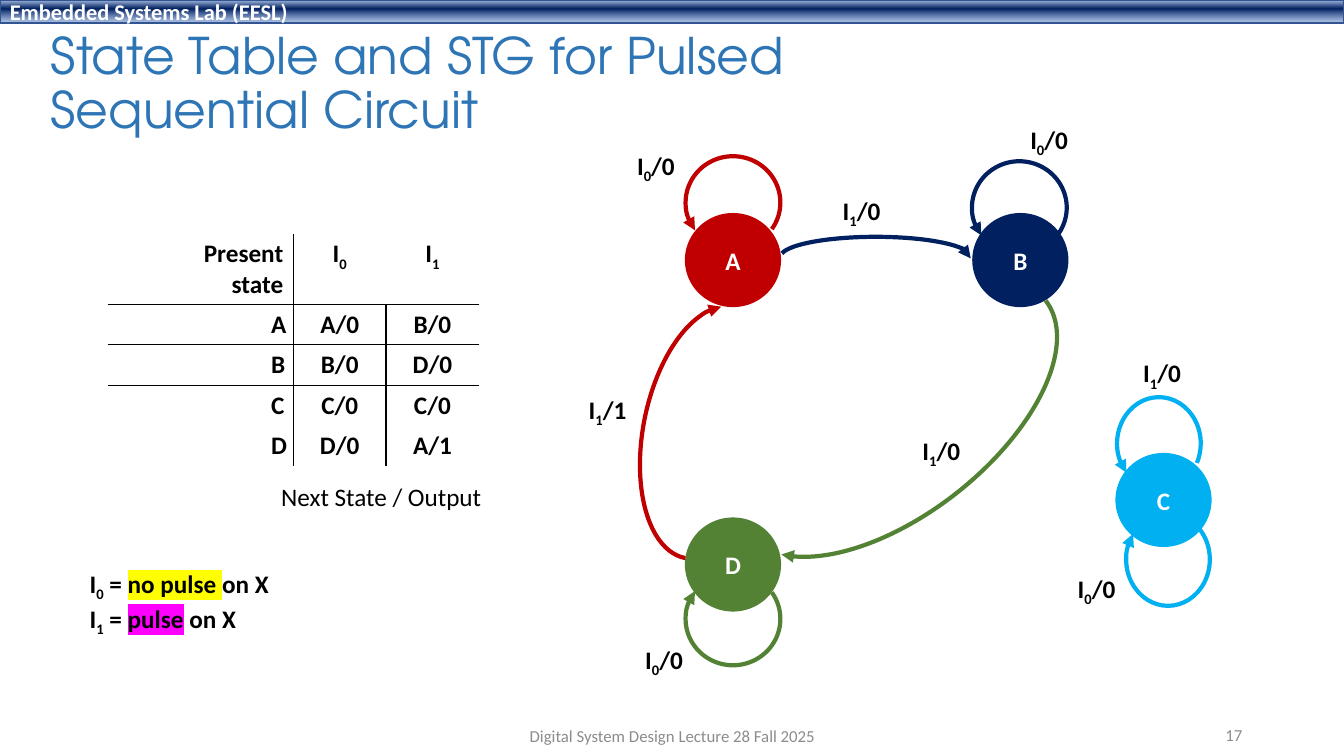
"""Build the slide with the state table and state graph of a pulsed sequential circuit."""
from lxml.etree import SubElement
from pptx import Presentation
from pptx.dml.color import RGBColor
from pptx.enum.shapes import MSO_SHAPE
from pptx.enum.text import MSO_ANCHOR, MSO_AUTO_SIZE, PP_ALIGN
from pptx.oxml import parse_xml
from pptx.oxml.ns import nsdecls, qn
from pptx.util import Inches, Pt

BODY_FONT = "Calibri"
TITLE_FONT = "TeX Gyre Adventor"
BLACK = RGBColor(0x00, 0x00, 0x00)
WHITE = RGBColor(0xFF, 0xFF, 0xFF)
GRAY = RGBColor(0x8C, 0x8C, 0x8C)
TITLE_BLUE = RGBColor(0x2E, 0x75, 0xB6)
BANNER_LINE = RGBColor(0x32, 0x54, 0x91)
RED = RGBColor(0xC0, 0x00, 0x00)
NAVY = RGBColor(0x00, 0x20, 0x60)
GREEN = RGBColor(0x54, 0x82, 0x35)
SKY = RGBColor(0x00, 0xB0, 0xF0)
YELLOW = RGBColor(0xFF, 0xFF, 0x00)
MAGENTA = RGBColor(0xFF, 0x00, 0xFF)

STATE_SIZE = (0.94, 0.92)
LABEL_SIZE = (0.59, 0.4)
LOOP = (86.305, 20.584)
BANNER_STOPS = [(2, "ABC0E4", 100), (38, "002060", 100), (93, "7E9ED6", 64)]

COLUMN_WIDTHS = [1.02, 0.82, 0.92, 0.92]
ROW_HEIGHTS = [0.7, 0.4, 0.4, 0.4, 0.4]
TRANSITIONS = [
    ("A", "A/0", "B/0"),
    ("B", "B/0", "D/0"),
    ("C", "C/0", "C/0"),
    ("D", "D/0", "A/1"),
]
LEGEND = [("0", " = ", "no pulse ", YELLOW, "on X"), ("1", " = ", "pulse", MAGENTA, " on X")]

ISOLATED_GRAPH = {
    "states": [("C", 11.07, 4.5, SKY)],
    "arcs": [
        ((11.17, 5.09, 0.83, 0.92), (86.305, 26.647), 0, True, "headEnd", SKY),
        ((11.08, 3.94, 0.83, 0.92), (82.864, 16.224), 0, False, "headEnd", SKY),
    ],
    "labels": [("1", "/0", 11.24, 3.5), ("0", "/0", 10.59, 5.64)],
}
MAIN_GRAPH = {
    "states": [("A", 6.8, 2.12, RED), ("B", 9.65, 2.12, NAVY), ("D", 6.8, 5.14, GREEN)],
    "arcs": [
        ((6.8, 1.55, *STATE_SIZE), LOOP, 0, False, "headEnd", RED),
        ((9.64, 1.6, *STATE_SIZE), LOOP, 0, False, "headEnd", NAVY),
        ((6.8, 5.68, *STATE_SIZE), LOOP, 0, True, "headEnd", GREEN),
        ((7.74, 2.35, 1.89, 0.4), (109.315, 0.513), 0, False, "tailEnd", NAVY),
        ((5.77, 3.63, 2.54, 1.32), (107.921, 212.453), 281.1, False, "tailEnd", RED),
        ((7.01, 3.18, 3.76, 1.92), (108.024, 208.837), 141.9, False, "tailEnd", GREEN),
    ],
    "labels": [
        ("1", "/0", 9.05, 4.27), ("1", "/0", 8.26, 1.89), ("1", "/1", 5.74, 3.86),
        ("0", "/0", 6.22, 1.44), ("0", "/0", 6.3, 6.34), ("0", "/0", 10.12, 1.18),
    ],
}


def inches(values):
    return [Inches(value) for value in values]


def add_run(paragraph, text, size=18, color=BLACK, bold=True, font=BODY_FONT,
            subscript=False, highlight=None):
    run = paragraph.add_run()
    run.text = text
    run.font.size = Pt(size)
    run.font.bold = bold
    run.font.color.rgb = color
    properties = run.font._element
    if highlight is not None:
        mark = SubElement(properties, qn("a:highlight"))
        SubElement(mark, qn("a:srgbClr")).set("val", str(highlight))
    if subscript:
        properties.set("baseline", "-25000")
    run.font.name = font


def add_signal(paragraph, index):
    add_run(paragraph, "I")
    add_run(paragraph, index, subscript=True)


def indent(paragraph):
    properties = paragraph._p.get_or_add_pPr()
    properties.set("marL", str(Inches(0.5)))
    properties.set("indent", "0")


def add_text_box(shapes, box, wrap=True, anchor=MSO_ANCHOR.TOP, grow=False):
    frame = shapes.add_textbox(*inches(box)).text_frame
    frame.word_wrap = wrap
    frame.vertical_anchor = anchor
    if grow:
        frame.auto_size = MSO_AUTO_SIZE.SHAPE_TO_FIT_TEXT
    return frame


def add_line_of_text(shapes, box, text, alignment=PP_ALIGN.LEFT, **style):
    paragraph = add_text_box(shapes, box, anchor=MSO_ANCHOR.MIDDLE).paragraphs[0]
    paragraph.alignment = alignment
    add_run(paragraph, text, **style)
    return paragraph


def add_banner(shapes):
    banner = shapes.add_shape(MSO_SHAPE.RECTANGLE, *inches((0, 0, 13.33, 0.23)))
    banner.shadow.inherit = False
    banner.line.color.rgb = BANNER_LINE
    banner.line.width = Pt(1)
    stops = "".join(
        f'<a:gs pos="{position * 1000}"><a:srgbClr val="{color}">'
        f'<a:alpha val="{alpha * 1000}"/></a:srgbClr></a:gs>'
        for position, color, alpha in BANNER_STOPS)
    gradient = parse_xml(f'<a:gradFill {nsdecls("a")} rotWithShape="1"><a:gsLst>{stops}</a:gsLst>'
                         '<a:lin ang="5400000" scaled="0"/></a:gradFill>')
    banner._element.spPr.find(qn("a:prstGeom")).addnext(gradient)
    banner.text_frame.vertical_anchor = MSO_ANCHOR.MIDDLE
    paragraph = banner.text_frame.paragraphs[0]
    paragraph.alignment = PP_ALIGN.LEFT
    add_run(paragraph, "Embedded Systems Lab (EESL)", size=16, color=WHITE)


def finish_cell(cell, sides):
    properties = cell._tc.get_or_add_tcPr()
    for side in "LRTB":
        if side in sides:
            line = SubElement(properties, qn(f"a:ln{side}"), w="12700")
            fill = SubElement(line, qn("a:solidFill"))
            SubElement(fill, qn("a:srgbClr")).set("val", str(BLACK))
    cell.fill.background()


def add_state_table(shapes):
    frame = shapes.add_table(len(ROW_HEIGHTS), len(COLUMN_WIDTHS), *inches((1.07, 2.32, 3.68, 2.3)))
    table = frame.table
    table.first_row = table.horz_banding = False
    table._tbl.tblPr.find(qn("a:tableStyleId")).text = "{2D5ABB26-0587-4C30-8999-92F81FD0307C}"
    for column, width in zip(table.columns, COLUMN_WIDTHS):
        column.width = Inches(width)
    for row, height in zip(table.rows, ROW_HEIGHTS):
        row.height = Inches(height)
    table.cell(0, 0).merge(table.cell(0, 1))
    heading = table.cell(0, 0).text_frame
    for paragraph, text in zip((heading.paragraphs[0], heading.add_paragraph()), ("Present", "state")):
        paragraph.alignment = PP_ALIGN.RIGHT
        add_run(paragraph, text)
    for index in "01":
        paragraph = table.cell(0, 2 + int(index)).text_frame.paragraphs[0]
        paragraph.alignment = PP_ALIGN.CENTER
        add_signal(paragraph, index)
    for row, texts in enumerate(TRANSITIONS, 1):
        for column, text in enumerate(texts, 1):
            paragraph = table.cell(row, column).text_frame.paragraphs[0]
            if column == 1:
                indent(paragraph)
            else:
                paragraph.alignment = PP_ALIGN.CENTER
            add_run(paragraph, text)
    for row in range(len(ROW_HEIGHTS)):
        across = ("B", "TB", "T", "", "")[row]
        for column in range(len(COLUMN_WIDTHS)):
            down = ("R" if row == 0 else "", "R", "L" if row == 0 else "LR", "L" if row else "")[column]
            finish_cell(table.cell(row, column), across + down)


def add_graph(slide, graph):
    shapes = slide.shapes.add_group_shape().shapes
    for name, left, top, color in graph["states"]:
        state = shapes.add_shape(MSO_SHAPE.OVAL, *inches((left, top, *STATE_SIZE)))
        state.shadow.inherit = False
        state.fill.solid()
        state.fill.fore_color.rgb = state.line.color.rgb = color
        state.line.width = Pt(1)
        state.text_frame.vertical_anchor = MSO_ANCHOR.MIDDLE
        paragraph = state.text_frame.paragraphs[0]
        paragraph.alignment = PP_ALIGN.CENTER
        add_run(paragraph, name, color=WHITE)
    for box, angles, rotation, flipped, arrow_end, color in graph["arcs"]:
        arc = shapes.add_shape(MSO_SHAPE.ARC, *inches(box))
        arc.shadow.inherit = False
        arc.fill.background()
        arc.adjustments[0], arc.adjustments[1] = angles
        arc.rotation = rotation
        if flipped:
            arc._element.spPr.find(qn("a:xfrm")).set("flipV", "1")
        arc.line.color.rgb = color
        arc.line.width = Pt(3)
        SubElement(arc.line._get_or_add_ln(), qn(f"a:{arrow_end}"), type="triangle")
    for index, output, left, top in graph["labels"]:
        frame = add_text_box(shapes, (left, top, *LABEL_SIZE), wrap=False, grow=True)
        add_signal(frame.paragraphs[0], index)
        add_run(frame.paragraphs[0], output)


def main():
    presentation = Presentation()
    presentation.slide_width, presentation.slide_height = inches((13.33, 7.5))
    slide = presentation.slides.add_slide(presentation.slide_layouts[6])
    shapes = slide.shapes
    add_banner(shapes)
    title = add_line_of_text(shapes, (0.4, 0.12, 10, 1.45), "State Table and STG for Pulsed Sequential Circuit",
                             size=36, color=TITLE_BLUE, bold=False, font=TITLE_FONT)
    title.line_spacing = 0.9
    small = {"size": 12, "color": GRAY, "bold": False}
    add_line_of_text(shapes, (9.42, 7.09, 3, 0.4), "17", PP_ALIGN.RIGHT, **small)
    add_state_table(shapes)
    caption = add_text_box(shapes, (2.69, 4.73, 2.21, 0.4), wrap=False, grow=True)
    add_run(caption.paragraphs[0], "Next State / Output", bold=False)
    for graph in (ISOLATED_GRAPH, MAIN_GRAPH):
        add_graph(slide, graph)
    legend = add_text_box(shapes, (0.29, 5.59, 2.83, 0.71), grow=True)
    paragraphs = (legend.paragraphs[0], legend.add_paragraph())
    for paragraph, (index, equals, marked, color, rest) in zip(paragraphs, LEGEND):
        indent(paragraph)
        add_signal(paragraph, index)
        add_run(paragraph, equals)
        add_run(paragraph, marked, highlight=color)
        add_run(paragraph, rest)
    add_line_of_text(shapes, (4.42, 7.1, 4.5, 0.4), "Digital System Design Lecture 28 Fall 2025",
                     PP_ALIGN.CENTER, **small)
    presentation.save("out.pptx")


if __name__ == "__main__":
    main()
